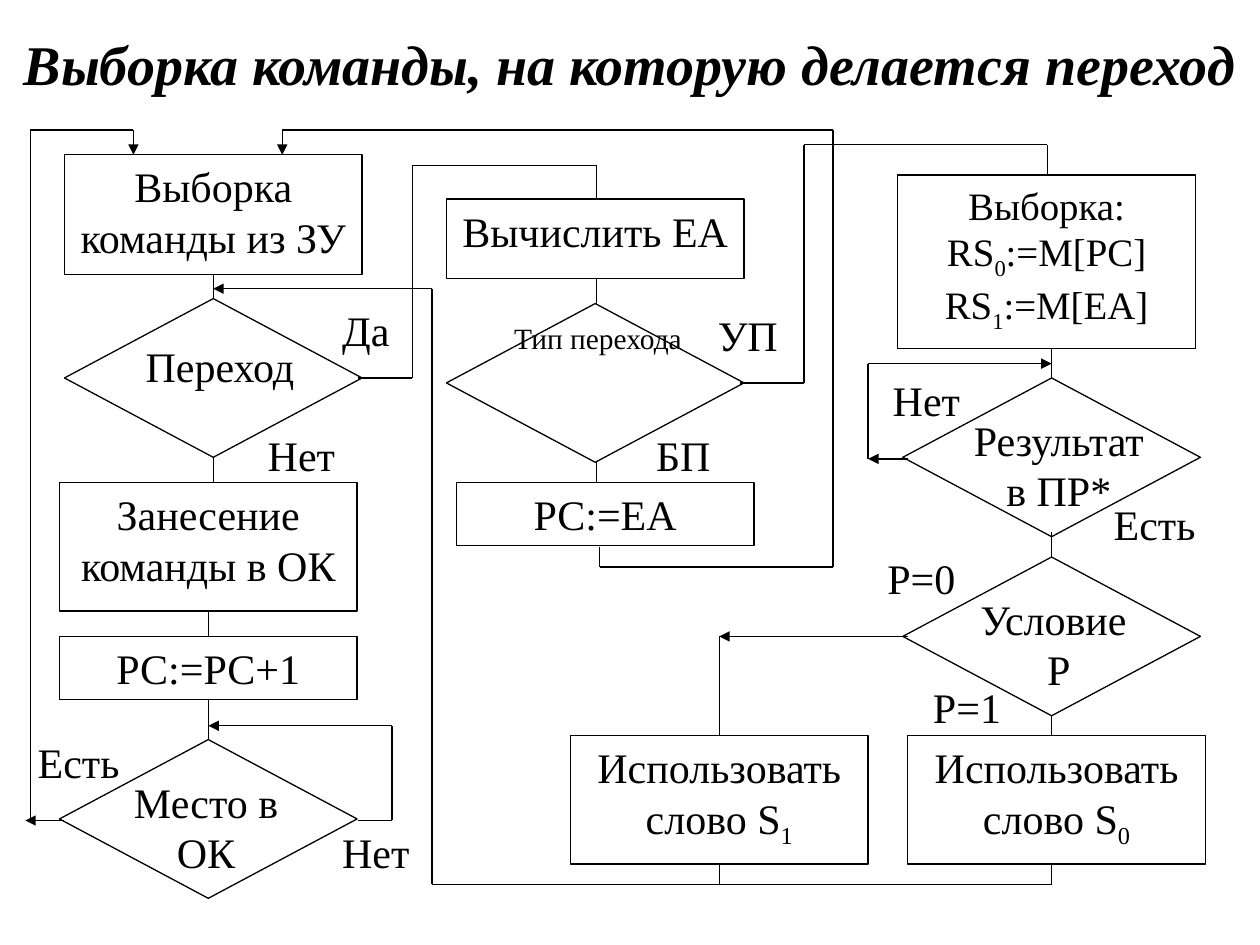
from itertools import pairwise

from lxml.etree import SubElement
from pptx import Presentation
from pptx.dml.color import RGBColor
from pptx.enum.shapes import MSO_CONNECTOR, MSO_SHAPE
from pptx.enum.text import MSO_ANCHOR, PP_ALIGN
from pptx.oxml.ns import qn
from pptx.util import Cm, Pt

COLORS = {"ink": "000000", "paper": "FFFFFF"}
INK = RGBColor.from_string(COLORS["ink"])


def write_text(shape, text, size=24, bold=False, italic=False, anchor=MSO_ANCHOR.TOP, wrap=True):
    frame = shape.text_frame
    frame.word_wrap = wrap
    frame.vertical_anchor = anchor
    for number, line in enumerate(text.split("\n")):
        para = frame.add_paragraph() if number else frame.paragraphs[0]
        para.alignment = PP_ALIGN.CENTER
        for row, segment in enumerate(line.split("\v")):
            if row:
                para.add_line_break()
            start, *marked = segment.split("_")
            pieces = [(start, False)]
            for part in marked:
                pieces += [(part[0], True), (part[1:], False)]
            for content, subscript in pieces:
                if not content:
                    continue
                span = para.add_run()
                span.text = content
                span.font.name = "Times New Roman"
                span.font.size = Pt(size)
                span.font.bold = bold
                span.font.italic = italic
                span.font.color.rgb = INK
                if subscript:
                    span._r.get_or_add_rPr().set("baseline", "-25000")


deck = Presentation()
deck.slide_width, deck.slide_height = Cm(25.4), Cm(19.05)
page = deck.slides.add_slide(deck.slide_layouts[6])
page.background.fill.solid()
page.background.fill.fore_color.rgb = RGBColor.from_string(COLORS["paper"])

title = page.shapes.add_textbox(Cm(0), Cm(0.03), Cm(25.4), Cm(2.49))
write_text(title, "Выборка команды, на которую делается переход",
           size=32, bold=True, italic=True, anchor=MSO_ANCHOR.MIDDLE)

STEP_WIDTH = 6
steps = [
    ("Выборка команды из ЗУ", 1.3, 3.12, 2.41, 24),
    ("Занесение команды в ОК", 1.2, 9.73, 2.59, 24),
    ("РС:=РС+1", 1.2, 12.83, 1.27, 24),
    ("Вычислить ЕА", 9, 4.01, 1.6, 24),
    ("РС:=ЕА", 9.2, 9.73, 1.27, 24),
    ("Выборка:\nRS_0:=M[PC]\nRS_1:=M[EA]", 18.1, 3.53, 3.5, 22.2),
    ("Использовать слово S_1", 11.5, 14.83, 2.59, 24),
    ("Использовать слово S_0", 18.3, 14.83, 2.59, 24),
]
diamonds = [(1.3, 6.02), (1.2, 14.91), (9, 6.12), (18.2, 7.62), (18.2, 11.23)]
outlines = []
for text, left, top, height, size in steps:
    box = page.shapes.add_shape(MSO_SHAPE.RECTANGLE, Cm(left), Cm(top), Cm(STEP_WIDTH), Cm(height))
    write_text(box, text, size=size)
    outlines.append(box)
for left, top in diamonds:
    outlines.append(page.shapes.add_shape(
        MSO_SHAPE.DIAMOND, Cm(left), Cm(top), Cm(STEP_WIDTH), Cm(3.2)))
for outline in outlines:
    outline.shadow.inherit = False
    outline.fill.background()
    outline.line.color.rgb = INK
    outline.line.width = Pt(0.75)

questions = [
    ("Переход", 2.29, 6.73, 1.7, 24),
    ("Место в ОК", 2.01, 15.52, 2.59, 24),
    ("Тип перехода", 9.91, 6.32, 1.7, 16.8),
    ("Результат в ПР*", 19.2, 8.23, 2.59, 24),
    ("Условие \vР", 19.2, 11.84, 2.59, 24),
]
for text, left, top, height, size in questions:
    box = page.shapes.add_textbox(Cm(left), Cm(top), Cm(4.29), Cm(height))
    write_text(box, text, size=size)

labels = [
    ("Есть", 0.51, 14.73), ("Нет", 6.5, 16.54), ("Нет", 5, 8.53),
    ("Да", 6.3, 6.02), ("БП", 12.7, 8.53), ("УП", 14, 6.12),
    ("Есть", 22.2, 9.93), ("Р=1", 18.42, 13.61), ("Нет", 17.6, 7.42),
    ("Р=0", 17.5, 11.02),
]
for text, left, top in labels:
    box = page.shapes.add_textbox(Cm(left), Cm(top), Cm(2.15), Cm(1.27))
    write_text(box, text, wrap=False)

LEFT, CENTER, RIGHT = 4.3, 12.02, 21.2
routes = [
    ([(LEFT, 5.53), (LEFT, 6.02)], False),
    ([(LEFT, 9.22), (LEFT, 9.73)], False),
    ([(4.2, 12.32), (4.2, 12.83)], False),
    ([(4.2, 14.1), (4.2, 14.91)], False),
    ([(1.3, 16.54), (0.51, 16.54)], True),
    ([(0.61, 16.54), (0.61, 2.62), (2.69, 2.62), (2.69, 3.12)], True),
    ([(7.21, 16.54), (7.9, 16.54), (7.9, 14.63), (4.2, 14.63)], True),
    ([(7.21, 7.62), (8.31, 7.62), (8.31, 3.33), (CENTER, 3.33), (CENTER, 4.01)], False),
    ([(CENTER, 5.61), (CENTER, 6.12)], False),
    ([(CENTER, 9.32), (CENTER, 9.73)], False),
    ([(12.09, 11.02), (12.09, 11.43), (16.79, 11.43), (16.79, 2.62), (5.69, 2.62), (5.69, 3.12)], True),
    ([(14.91, 7.72), (16.21, 7.72), (16.21, 2.92), (21.11, 2.92), (21.11, 3.53)], False),
    ([(RIGHT, 7.03), (RIGHT, 7.62)], False),
    ([(18.31, 9.25), (17.5, 9.25)], True),
    ([(17.5, 9.25), (17.5, 7.33), (RIGHT, 7.33)], True),
    ([(RIGHT, 10.72), (RIGHT, 11.23)], False),
    ([(18.31, 12.83), (14.5, 12.83)], True),
    ([(14.5, 12.83), (14.5, 14.83)], False),
    ([(RIGHT, 14.43), (RIGHT, 14.83)], False),
    ([(14.5, 17.42), (14.5, 17.83)], False),
    ([(RIGHT, 17.42), (RIGHT, 17.83), (8.71, 17.83), (8.71, 5.82), (LEFT, 5.82)], True),
]
for points, arrow in routes:
    for start, end in pairwise(points):
        line = page.shapes.add_connector(
            MSO_CONNECTOR.STRAIGHT, *(Cm(value) for value in start + end))
        line.line.color.rgb = INK
        line.line.width = Pt(0.75)
        properties = line._element.spPr
        if arrow and end == points[-1]:
            SubElement(line.line._get_or_add_ln(), qn("a:tailEnd"), type="triangle")
        SubElement(properties, qn("a:effectLst"))

deck.save("out.pptx")
